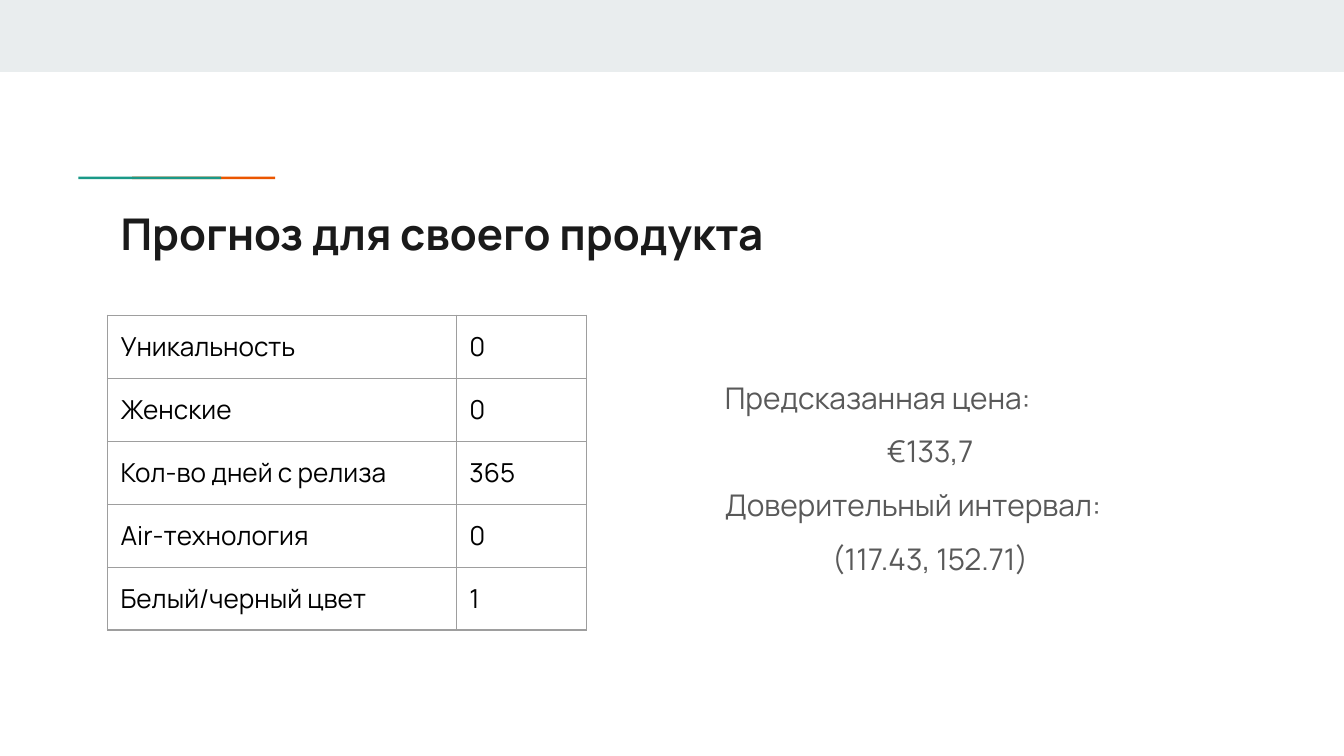
from lxml import etree
from pptx import Presentation
from pptx.dml.color import RGBColor
from pptx.enum import shapes, text
from pptx.oxml import ns
from pptx.util import Cm, Pt

# Content
TITLE = "Прогноз для своего продукта"
FEATURES = [
    ("Уникальность", "0"),
    ("Женские", "0"),
    ("Кол-во дней с релиза", "365"),
    ("Air-технология", "0"),
    ("Белый/черный цвет", "1"),
]
FORECAST = [
    ("Предсказанная цена:", "€133,7"),
    ("Доверительный интервал:", "(117.43, 152.71)"),
]

# Look
WHITE = RGBColor(0xFF, 0xFF, 0xFF)
BAND = RGBColor(0xE9, 0xED, 0xEE)
TEAL = RGBColor(0x1A, 0x99, 0x88)
ORANGE = RGBColor(0xEB, 0x56, 0x00)
INK = RGBColor(0x1A, 0x1A, 0x1A)
BLACK = RGBColor(0x00, 0x00, 0x00)
GREY = RGBColor(0x59, 0x59, 0x59)
BORDER = RGBColor(0x9E, 0x9E, 0x9E)
TITLE_FONT = {"name": "Manrope", "size": Pt(23.4), "bold": True}
TABLE_FONT = {"name": "Manrope", "size": Pt(14), "bold": False}
FORECAST_FONT = {"name": "Manrope", "size": Pt(16), "bold": False}
INSET = Cm(0.25)
MARGINS = {f"margin_{side}": INSET for side in ("left", "top", "right", "bottom")}

# Layout, in cm
WIDTH, HEIGHT = 25.4, 14.29
LEFT = 2.03
COLUMNS = [6.59, 2.46]
ROW = 1.19
ACCENT_TOP, ACCENT_WIDTH, ACCENT_HEIGHT = 3.34, 2.7, 0.05
ACCENTS = [(2.5, ORANGE), (1.48, TEAL)]  # the teal bar overlaps the orange one


def set_all(target, values):
    for name, value in values.items():
        setattr(target, name, value)


def write(paragraph, words, font, color):
    paragraph.text = words
    set_all(paragraph.font, font)
    paragraph.font.color.rgb = color


def add_bar(slide, left, top, width, height, color):
    shape = slide.shapes.add_shape(
        shapes.MSO_SHAPE.RECTANGLE, Cm(left), Cm(top), Cm(width), Cm(height))
    shape.shadow.inherit = False
    shape.fill.solid()
    shape.fill.fore_color.rgb = color
    shape.line.fill.background()


def add_text_frame(slide, left, top, width, height):
    frame = slide.shapes.add_textbox(Cm(left), Cm(top), Cm(width), Cm(height)).text_frame
    set_all(frame, {"word_wrap": True, **MARGINS})
    return frame


def add_borders(cell):
    properties = cell._tc.get_or_add_tcPr()
    for position, side in enumerate("LRTB"):
        line = etree.Element(ns.qn(f"a:ln{side}"), w=str(Pt(0.75)))
        fill = etree.SubElement(line, ns.qn("a:solidFill"))
        etree.SubElement(fill, ns.qn("a:srgbClr"), val=str(BORDER))
        properties.insert(position, line)


presentation = Presentation()
presentation.slide_width, presentation.slide_height = Cm(WIDTH), Cm(HEIGHT)
slide = presentation.slides.add_slide(presentation.slide_layouts[6])
slide.background.fill.solid()
slide.background.fill.fore_color.rgb = WHITE

# Top band and accent line
add_bar(slide, 0, 0, WIDTH, 1.36, BAND)
for left, color in ACCENTS:
    add_bar(slide, left, ACCENT_TOP, ACCENT_WIDTH, ACCENT_HEIGHT, color)

# Title
frame = add_text_frame(slide, LEFT, 3.66, 21.36, 1.5)
write(frame.paragraphs[0], TITLE, TITLE_FONT, INK)

# Feature table
table = slide.shapes.add_table(
    len(FEATURES), len(COLUMNS), Cm(LEFT), Cm(5.96),
    Cm(sum(COLUMNS)), Cm(ROW * len(FEATURES))).table
set_all(table, {"first_row": False, "horz_banding": False})
for column, width in zip(table.columns, COLUMNS):
    column.width = Cm(width)
for row, values in zip(table.rows, FEATURES):
    row.height = Cm(ROW)
    for cell, value in zip(row.cells, values):
        set_all(cell, MARGINS)
        cell.fill.background()
        add_borders(cell)
        write(cell.text_frame.paragraphs[0], value, TABLE_FONT, BLACK)

# Forecast: each label on the left, its value centred below
frame = add_text_frame(slide, 13.45, 6.58, 8.26, 4.27)
frame.auto_size = text.MSO_AUTO_SIZE.SHAPE_TO_FIT_TEXT
lines = [
    (words, alignment)
    for pair in FORECAST
    for words, alignment in zip(pair, (text.PP_ALIGN.LEFT, text.PP_ALIGN.CENTER))
]
for index, (words, alignment) in enumerate(lines):
    paragraph = frame.add_paragraph() if index else frame.paragraphs[0]
    set_all(paragraph, {"alignment": alignment, "line_spacing": 1.5})
    write(paragraph, words, FORECAST_FONT, GREY)

presentation.save("out.pptx")
